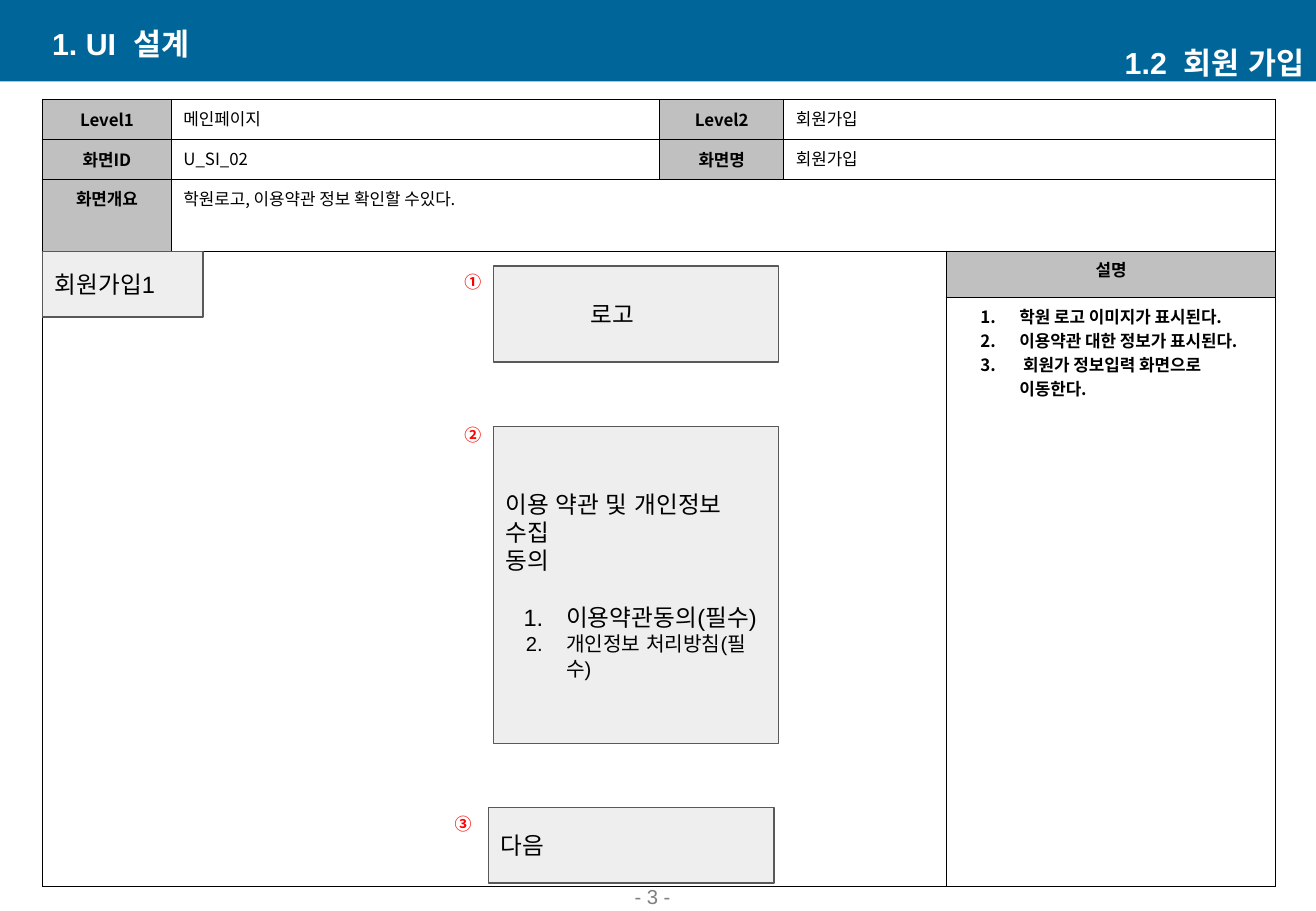
"""Builds the sign-up screen design slide: header, specification table and wireframe."""
from lxml.etree import SubElement
from pptx import Presentation
from pptx.dml.color import RGBColor
from pptx.enum.shapes import MSO_SHAPE as Shape
from pptx.enum.text import MSO_ANCHOR as Anchor, PP_ALIGN as Align
from pptx.oxml.ns import qn
from pptx.util import Inches, Pt

BLUE = RGBColor(0x00, 0x66, 0x99)
WHITE = RGBColor(0xFF, 0xFF, 0xFF)
BLACK = RGBColor(0x00, 0x00, 0x00)
RED = RGBColor(0xFF, 0x00, 0x00)
PAGE_GREY = RGBColor(0x80, 0x80, 0x80)
LABEL_GREY = RGBColor(0xC0, 0xC0, 0xC0)
BOX_GREY = RGBColor(0xEE, 0xEE, 0xEE)
EDGE_GREY = RGBColor(0x59, 0x59, 0x59)
LATIN, KOREAN = "Arial", "Noto Sans CJK KR"
WIDTH, HEIGHT = 10.83, 7.5


def write(paragraph, text, size, font=LATIN, color=BLACK, bold=False, align=Align.LEFT):
    paragraph.alignment = align
    run = paragraph.add_run()
    run.text = text
    run.font.size, run.font.bold, run.font.name = Pt(size), bold, font
    run.font.color.rgb = color
    SubElement(run.font._element, qn("a:ea"), typeface=font)


def indent(paragraph, left, hanging=0, numbered=False):
    properties = paragraph._p.get_or_add_pPr()
    properties.set("marL", str(Inches(left)))
    properties.set("indent", str(-Inches(hanging)))
    if numbered:
        number_color = SubElement(properties, qn("a:buClr"))
        SubElement(number_color, qn("a:srgbClr"), val=str(BLACK))
        SubElement(properties, qn("a:buAutoNum"), type="arabicPeriod")


deck = Presentation()
deck.slide_width, deck.slide_height = Inches(WIDTH), Inches(HEIGHT)
slide = deck.slides.add_slide(deck.slide_layouts[6])
shapes = slide.shapes

header = shapes.add_shape(Shape.RECTANGLE, 0, 0, Inches(WIDTH), Inches(0.67))
header.shadow.inherit = False
header.fill.solid()
header.fill.fore_color.rgb = BLUE
header.line.fill.background()

columns = [1.06, 4.02, 1.02, 1.34, 2.71]
rows = [0.33, 0.33, 0.59, 0.38, 4.85]
screen = shapes.add_table(
    len(rows), len(columns), Inches(0.35), Inches(0.82), Inches(sum(columns)), Inches(sum(rows))
).table
screen.first_row = screen.horz_banding = False
for column, width in zip(screen.columns, columns):
    column.width = Inches(width)
for row, height in zip(screen.rows, rows):
    row.height = Inches(height)

for cell in screen.iter_cells():
    borders = cell._tc.get_or_add_tcPr()
    for side in ("lnL", "lnR", "lnT", "lnB"):
        border = SubElement(borders, qn(f"a:{side}"), w=str(Pt(1)))
        SubElement(SubElement(border, qn("a:solidFill")), qn("a:srgbClr"), val=str(BLACK))
    cell.fill.background()

for first, last in [((0, 3), (0, 4)), ((1, 3), (1, 4)), ((2, 1), (2, 4)), ((3, 0), (4, 3))]:
    screen.cell(*first).merge(screen.cell(*last))

labels = [
    (0, 0, "Level1", Anchor.MIDDLE),
    (0, 2, "Level2", Anchor.MIDDLE),
    (1, 0, "화면ID", Anchor.MIDDLE),
    (1, 2, "화면명", Anchor.MIDDLE),
    (2, 0, "화면개요", Anchor.TOP),
    (3, 4, "설명", Anchor.TOP),
]
for row, column, label, anchor in labels:
    cell = screen.cell(row, column)
    cell.fill.solid()
    cell.fill.fore_color.rgb = LABEL_GREY
    cell.vertical_anchor = anchor
    write(cell.text_frame.paragraphs[0], label, 10, KOREAN, bold=True, align=Align.CENTER)

details = [
    (0, 1, "메인페이지"),
    (0, 3, "회원가입"),
    (1, 1, "U_SI_02"),
    (1, 3, "회원가입"),
    (2, 1, "학원로고, 이용약관 정보 확인할 수있다."),
]
for row, column, detail in details:
    write(screen.cell(row, column).text_frame.paragraphs[0], detail, 10, KOREAN)

description = screen.cell(4, 4).text_frame
notes = ["학원 로고 이미지가 표시된다.", "이용약관 대한 정보가 표시된다.", " 회원가 정보입력 화면으로 이동한다."]
for position, note in enumerate(notes):
    paragraph = description.add_paragraph() if position else description.paragraphs[0]
    indent(paragraph, 0.5, 0.32, numbered=True)
    write(paragraph, note, 10, KOREAN, bold=True)

wireframe = [
    (4.06, 2.19, 2.35, 0.79, ["로고"]),
    (4.06, 3.51, 2.35, 2.61, ["이용 약관 및 개인정보 수집", "동의"]),
    (4.02, 6.65, 2.35, 0.62, ["다음"]),
    (0.35, 2.07, 1.32, 0.54, ["회원가입1"]),
]
frames = []
for left, top, width, height, lines in wireframe:
    box = shapes.add_shape(Shape.RECTANGLE, Inches(left), Inches(top), Inches(width), Inches(height))
    box.shadow.inherit = False
    box.fill.solid()
    box.fill.fore_color.rgb = BOX_GREY
    box.line.color.rgb = EDGE_GREY
    box.line.width = Pt(0.75)
    frame = box.text_frame
    frame.word_wrap = True
    frame.vertical_anchor = Anchor.MIDDLE
    frame.margin_left = frame.margin_right = frame.margin_top = frame.margin_bottom = Inches(0.1)
    for position, line in enumerate(lines):
        write(frame.add_paragraph() if position else frame.paragraphs[0], line, 14)
    frames.append(frame)

logo, terms = frames[:2]
indent(logo.paragraphs[0], 0.7)
for consent, size, hanging, gap in [("이용약관동의(필수)", 14, 0.35, 17), ("개인정보 처리방침(필수)", 12, 0.33, 0)]:
    paragraph = terms.add_paragraph()
    indent(paragraph, 0.5, hanging, numbered=True)
    paragraph.space_before = Pt(gap)
    write(paragraph, consent, size)

captions = [
    (0.33, 0.19, 4.38, 0.33, "1. UI  설계", 18, LATIN, WHITE, True, Align.LEFT, Anchor.MIDDLE),
    (6.45, 0.35, 4.38, 0.33, "1.2  회원 가입", 18, LATIN, WHITE, True, Align.RIGHT, Anchor.MIDDLE),
    (4.24, 7.3, 2.26, 0.23, "- 3 -", 12, LATIN, PAGE_GREY, False, Align.CENTER, Anchor.BOTTOM),
]
for left, top, mark in [(3.72, 2.19, "①"), (3.72, 3.45, "②"), (3.64, 6.65, "③")]:
    captions.append((left, top, 0.34, 0.27, mark, 10, KOREAN, RED, True, Align.CENTER, Anchor.TOP))
for left, top, width, height, text, size, font, color, bold, align, anchor in captions:
    caption = shapes.add_textbox(Inches(left), Inches(top), Inches(width), Inches(height)).text_frame
    caption.word_wrap = True
    caption.vertical_anchor = anchor
    write(caption.paragraphs[0], text, size, font, color, bold, align)

deck.save("out.pptx")
